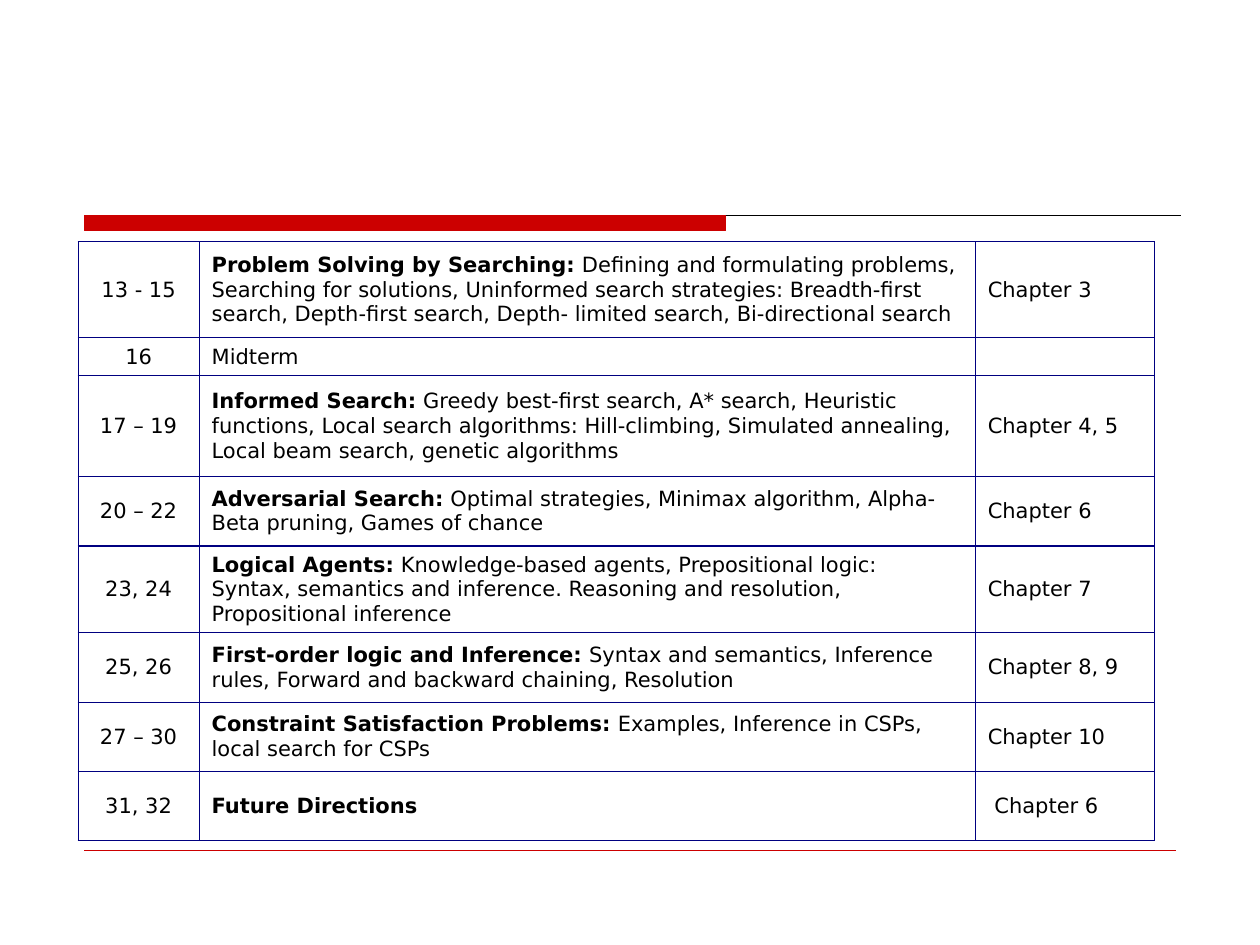
from lxml.etree import SubElement
from pptx import Presentation
from pptx.dml.color import RGBColor
from pptx.enum.shapes import MSO_CONNECTOR as Connector, MSO_SHAPE as Shape
from pptx.enum.text import MSO_ANCHOR as Anchor, PP_ALIGN as Align
from pptx.oxml.ns import qn
from pptx.util import Inches, Pt

COLUMNS, ROWS = 100, 75
COLUMN_WIDTHS = [9.6, 61.6, 14.2]
TOPICS = [  # row height, lectures, bold heading, details, reading
    (7.6, "13 - 15", "Problem Solving by Searching:",
     " Defining and formulating problems, Searching for solutions, Uninformed search "
     "strategies: Breadth-first search, Depth-first search, Depth- limited search, "
     "Bi-directional search", "Chapter 3"),
    (3, "16", "", "Midterm", ""),
    (8, "17 – 19", "Informed Search:",
     " Greedy best-first search, A* search, Heuristic functions, Local search algorithms: "
     "Hill-climbing, Simulated annealing, Local beam search, genetic algorithms",
     "Chapter 4, 5"),
    (5.5, "20 – 22", "Adversarial Search:",
     " Optimal strategies, Minimax algorithm, Alpha-Beta pruning, Games of chance",
     "Chapter 6"),
    (6.9, "23, 24", "Logical Agents:",
     " Knowledge-based agents, Prepositional logic: Syntax, semantics and inference. "
     "Reasoning and resolution, Propositional inference", "Chapter 7"),
    (5.5, "25, 26", "First-order logic and Inference:",
     " Syntax and semantics, Inference rules, Forward and backward chaining, Resolution",
     "Chapter 8, 9"),
    (5.5, "27 – 30", "Constraint Satisfaction Problems:",
     " Examples, Inference in CSPs, local search for CSPs", "Chapter 10"),
    (5.5, "31, 32", "Future Directions", "", " Chapter 6"),
]


def rgb(value):
    return RGBColor.from_string(value)


class SchedulePage:
    """Style and current slide; lengths are columns and rows of the grid."""
    font, size = "DejaVu Sans", Pt(12)
    ink, accent, border = "000000", "CC0000", "000080"
    line_width = Pt(0.75)

    def __init__(self, deck):
        self.column = deck.slide_width / COLUMNS
        self.row = deck.slide_height / ROWS
        self.page = deck.slides.add_slide(deck.slide_layouts[6])

    def across(self, columns):
        return round(columns * self.column)

    def down(self, rows):
        return round(rows * self.row)

    def rule(self, left, right, top, color):
        line = self.page.shapes.add_connector(
            Connector.STRAIGHT, self.across(left), self.down(top),
            self.across(right), self.down(top))
        line.line.color.rgb = rgb(color)
        line.line.width = self.line_width
        SubElement(line._element.spPr, qn("a:effectLst"))

    def bar(self, left, top, width, height):
        bar = self.page.shapes.add_shape(
            Shape.RECTANGLE, self.across(left), self.down(top),
            self.across(width), self.down(height))
        bar.shadow.inherit = False
        bar.fill.solid()
        bar.fill.fore_color.rgb = rgb(self.accent)
        bar.line.color.rgb = rgb(self.accent)
        bar.line.width = self.line_width

    def table(self, left, top, widths, topics):
        heights = [topic[0] for topic in topics]
        table = self.page.shapes.add_table(
            len(topics), len(widths), self.across(left), self.down(top),
            self.across(sum(widths)), self.down(sum(heights))).table
        table.first_row = table.horz_banding = False
        for column, width in zip(table.columns, widths):
            column.width = self.across(width)
        for row, (height, lectures, heading, details, reading) in zip(table.rows, topics):
            row.height = self.down(height)
            number, topic, chapter = row.cells
            self.cell(number, [(lectures, False)], Align.CENTER)
            self.cell(topic, [(heading, True), (details, False)])
            self.cell(chapter, [(reading, False)])

    def cell(self, cell, parts, align=Align.LEFT):
        """Write (text, bold) parts into a bordered cell."""
        cell.vertical_anchor = Anchor.MIDDLE
        para = cell.text_frame.paragraphs[0]
        para.alignment = align
        for text, bold in parts:
            if text:
                span = para.add_run()
                span.text = text
                span.font.name, span.font.size = self.font, self.size
                span.font.bold = bold
                span.font.color.rgb = rgb(self.ink)
        if not para.runs:  # keeps an empty cell as low as its row
            SubElement(para._p, qn("a:endParaRPr"), sz=str(round(self.size.pt * 100)))
        properties = cell._tc.get_or_add_tcPr()
        for side in ("lnL", "lnR", "lnT", "lnB"):
            line = SubElement(properties, qn(f"a:{side}"), w=str(self.line_width))
            fill = SubElement(line, qn("a:solidFill"))
            SubElement(fill, qn("a:srgbClr"), val=self.border)
        cell.fill.background()


def main():
    deck = Presentation()
    deck.slide_width, deck.slide_height = Inches(10), Inches(7.5)
    schedule = SchedulePage(deck)
    schedule.rule(6.7, 93.7, 17.1, schedule.ink)
    schedule.bar(6.7, 17.1, 50.9, 1.2)
    schedule.rule(6.7, 93.3, 67.5, schedule.accent)
    schedule.table(6.2, 19.2, COLUMN_WIDTHS, TOPICS)
    deck.save("out.pptx")


if __name__ == "__main__":
    main()
